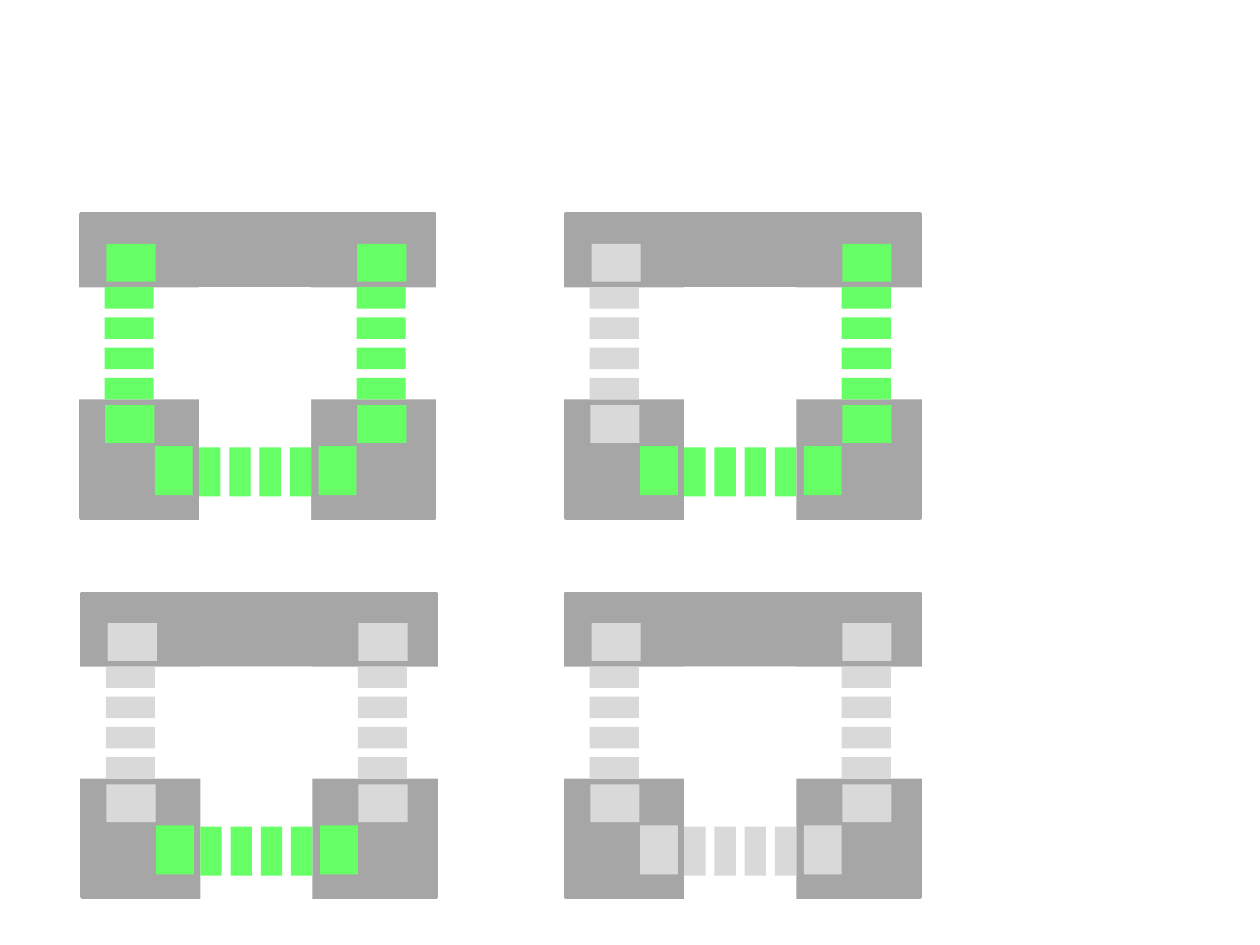
"""Build a slide of four frames whose three links switch off one by one."""
from pptx import Presentation
from pptx.dml.color import RGBColor
from pptx.enum import shapes
from pptx.util import Inches, Pt

COLORS = {"frame": "A6A6A6", "gap": "FFFFFF", "on": "66FF66", "off": "D9D9D9"}
FRAME_SIZE = (2.81, 2.41)
GAPS = [((0.94, 0.58, 0.89, 1.97), 0), ((0.94, -0.5, 0.89, 3.05), 270)]
BAR_SIZE = (0.17, 0.39)
BAR_STEP = 0.24
BAR_COUNT = 4
PAD_SIZE = (0.3, 0.39)
LINKS = {
    "bottom": {"start": (0.94, 1.85), "step": (BAR_STEP, 0), "turn": 0,
               "pads": [(1.89, 1.84), (0.59, 1.84)], "pad_turn": 0},
    "left": {"start": (0.3, 0.47), "step": (0, BAR_STEP), "turn": 90,
             "pads": [(0.24, 1.47), (0.25, 0.19)], "pad_turn": 270},
    "right": {"start": (2.3, 0.47), "step": (0, BAR_STEP), "turn": 90,
              "pads": [(2.24, 0.19), (2.24, 1.47)], "pad_turn": 270},
}
PANELS = [
    ((0.64, 1.7), {"bottom", "left", "right"}),
    ((4.49, 1.7), {"bottom", "right"}),
    ((0.65, 4.71), {"bottom"}),
    ((4.49, 4.71), set()),
]


def add_block(parent, origin, offset, size, color, turn=0):
    """Add a plain filled rectangle at an offset from the panel origin."""
    left, top = (start + shift for start, shift in zip(origin, offset))
    block = parent.shapes.add_shape(
        shapes.MSO_SHAPE.RECTANGLE,
        *(Inches(length) for length in (left, top, *size)))
    block.rotation = turn
    block.shadow.inherit = False
    block.fill.solid()
    block.fill.fore_color.rgb = RGBColor.from_string(COLORS[color])
    block.line.fill.background()
    return block


def add_frame(slide, origin):
    """Add the grey frame and the white gaps that cut it into three parts."""
    frame = add_block(slide, origin, (0, 0), FRAME_SIZE, "frame")
    frame.line.color.rgb = RGBColor.from_string(COLORS["frame"])
    frame.line.width = Pt(2)
    for (left, top, width, height), turn in GAPS:
        add_block(slide, origin, (left, top), (width, height), "gap", turn)


def add_bars(slide, origin, link, color):
    """Add a group of evenly spaced bars that bridges a gap."""
    group = slide.shapes.add_group_shape()
    for index in range(BAR_COUNT):
        offset = [start + index * step
                  for start, step in zip(link["start"], link["step"])]
        add_block(group, origin, offset, BAR_SIZE, color, link["turn"])


def add_pads(slide, origin, link, color):
    """Add the pads at both ends of a link."""
    for offset in link["pads"]:
        add_block(slide, origin, offset, PAD_SIZE, color, link["pad_turn"])


def add_panel(slide, origin, active):
    """Add one frame with its links coloured by state."""
    add_frame(slide, origin)
    for add_part in (add_bars, add_pads):
        for name, link in LINKS.items():
            add_part(slide, origin, link, "on" if name in active else "off")


def main():
    """Create the deck and save it."""
    deck = Presentation()
    deck.slide_width, deck.slide_height = Inches(10), Inches(7.5)
    slide = deck.slides.add_slide(deck.slide_layouts[6])
    for origin, active in PANELS:
        add_panel(slide, origin, active)
    deck.save("out.pptx")


if __name__ == "__main__":
    main()
